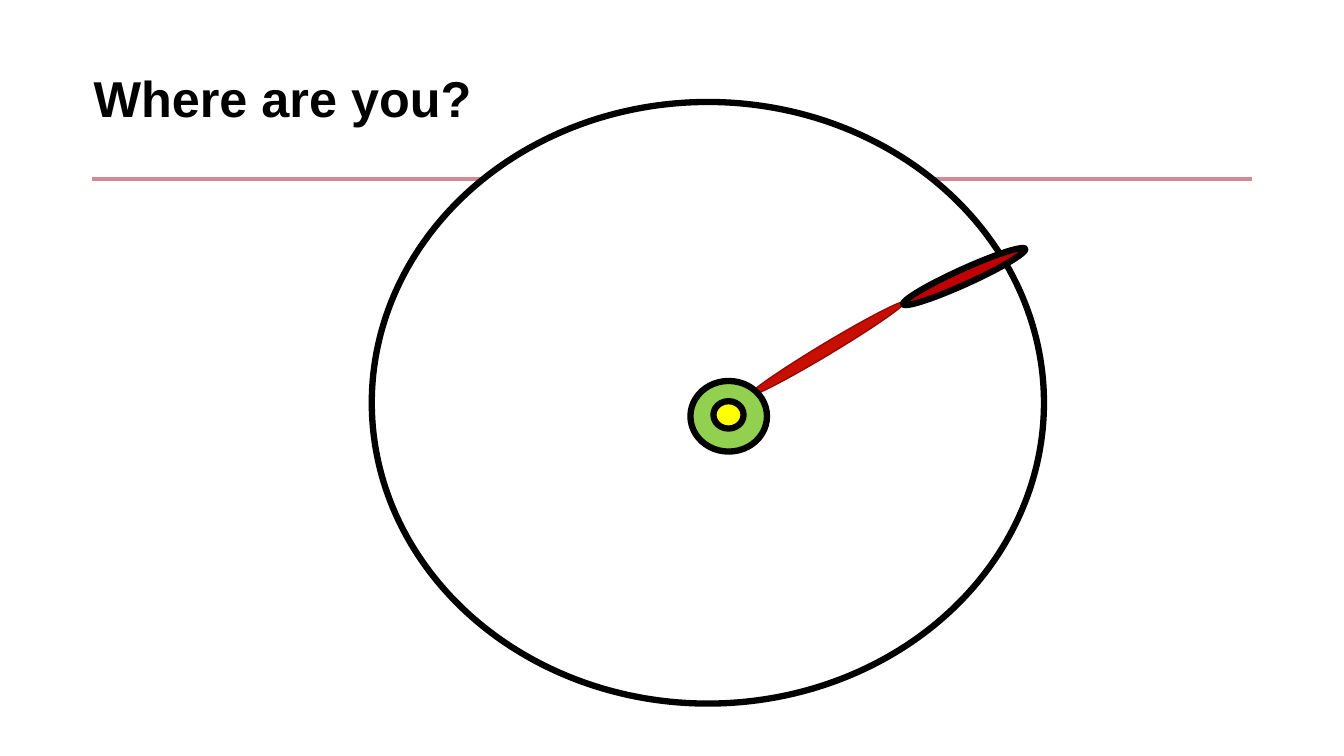
import pptx
import pptx.dml.color
import pptx.enum.shapes
import pptx.enum.text
import pptx.oxml.ns
import pptx.util
from lxml import etree

Cm = pptx.util.Cm
Pt = pptx.util.Pt
RGBColor = pptx.dml.color.RGBColor

BLACK = RGBColor(0x00, 0x00, 0x00)
WHITE = RGBColor(0xFF, 0xFF, 0xFF)
ROSE = RGBColor(0xD4, 0x88, 0x8F)
RED = RGBColor(0xC8, 0x0E, 0x00)
DARK_RED = RGBColor(0x94, 0x0A, 0x00)
CRIMSON = RGBColor(0xC0, 0x00, 0x00)
GREEN = RGBColor(0x92, 0xD0, 0x50)
YELLOW = RGBColor(0xFF, 0xFF, 0x00)


def add_rule(s, left, right, y):
    """Draw the horizontal rule under the title."""
    line = s.shapes.add_connector(
        pptx.enum.shapes.MSO_CONNECTOR.STRAIGHT, Cm(left), Cm(y), Cm(right), Cm(y))
    line.line.color.rgb = ROSE
    line.line.width = Pt(3)
    etree.SubElement(line._element.spPr, pptx.oxml.ns.qn("a:effectLst"))


def add_ellipse(s, left, top, width, height, fill, rotation=0, outline=BLACK, weight=4.5):
    """Draw a filled and outlined ellipse, turned by rotation degrees."""
    sp = s.shapes.add_shape(
        pptx.enum.shapes.MSO_SHAPE.OVAL, Cm(left), Cm(top), Cm(width), Cm(height))
    sp.shadow.inherit = False
    sp.rotation = rotation
    sp.fill.solid()
    sp.fill.fore_color.rgb = fill
    sp.line.color.rgb = outline
    sp.line.width = Pt(weight)


def add_title(s, text, left, top, width, height):
    """Add the bold slide title."""
    tf = s.shapes.add_textbox(Cm(left), Cm(top), Cm(width), Cm(height)).text_frame
    tf.word_wrap = True
    tf.auto_size = pptx.enum.text.MSO_AUTO_SIZE.SHAPE_TO_FIT_TEXT
    p = tf.paragraphs[0]
    r = p.add_run()
    r.text = text
    r.font.name = "Arial"
    r.font.size = Pt(36)
    r.font.bold = True
    r.font.color.rgb = BLACK


def main():
    """Build the slide and save it."""
    prs = pptx.Presentation()
    prs.slide_width = Cm(33.87)
    prs.slide_height = Cm(19.05)
    s = prs.slides.add_slide(prs.slide_layouts[6])
    add_rule(s, 2.33, 31.55, 4.52)
    add_ellipse(s, 9.37, 2.57, 16.94, 15.16, WHITE)
    add_ellipse(s, 18.54, 8.64, 4.6, 0.3, RED, 329, DARK_RED, 1)
    add_ellipse(s, 22.61, 6.78, 3.38, 0.38, CRIMSON, 335.6)
    add_ellipse(s, 17.4, 9.6, 1.93, 1.78, GREEN)
    add_ellipse(s, 17.98, 10.11, 0.76, 0.69, YELLOW)
    add_title(s, "Where are you?", 2.11, 1.57, 11.3, 1.8)
    prs.save("out.pptx")


if __name__ == "__main__":
    main()
